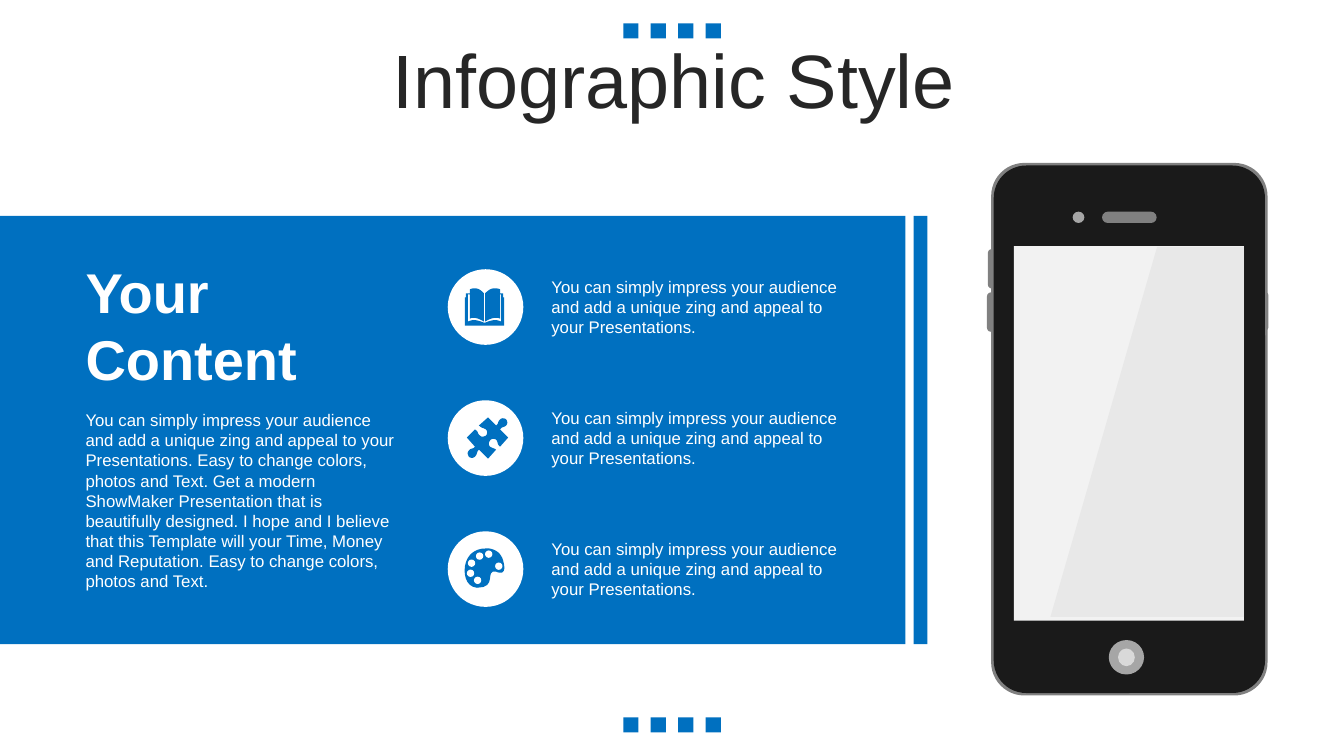
from lxml import etree
from pptx import Presentation
from pptx.dml.color import RGBColor
from pptx.enum.shapes import MSO_SHAPE as Shape
from pptx.enum.text import MSO_ANCHOR as Anchor, PP_ALIGN as Align
from pptx.oxml.ns import qn
from pptx.util import Inches, Pt

# Grid of square cells, 160 columns by 90 rows
COLS, ROWS = 160, 90
CELL = Inches(7.5) / ROWS

BLUE = RGBColor(0x00, 0x70, 0xC0)
WHITE = RGBColor(0xFF, 0xFF, 0xFF)
INK = RGBColor(0x26, 0x26, 0x26)
BLACK = RGBColor(0x1A, 0x1A, 0x1A)
RIM = RGBColor(0x80, 0x80, 0x80)
METAL = RGBColor(0xA6, 0xA6, 0xA6)
SILVER = RGBColor(0xD9, 0xD9, 0xD9)
SCREEN = RGBColor(0xF2, 0xF2, 0xF2)
GLARE = RGBColor(0x99, 0x99, 0x99)

ITEM_TEXT = ("You can simply impress your audience and add a unique zing "
             "and appeal to your Presentations.")
BODY_TEXT = (ITEM_TEXT + " Easy to change colors, photos and Text. Get a modern "
             "ShowMaker Presentation that is beautifully designed. I hope and "
             "I believe that this Template will your Time, Money and Reputation. "
             "Easy to change colors, photos and Text.")

# Icon outlines in 75ths of a badge: pairs are lines, sixes are cubic curves
BADGE_UNITS = 75
BOOK = [(36, 53), (37, 53), (43, 51, 47, 49, 53, 52), (53, 25), (52, 25), (52, 49),
        (47, 47, 42, 49, 37, 52), (37, 24), (40, 21, 43, 19, 46, 19),
        (48, 19, 50, 19, 52, 20), (52, 24), (55, 24), (55, 28), (56, 28), (56, 56),
        (17, 56), (17, 28), (18, 28), (18, 24), (22, 24), (22, 20),
        (24, 19, 25, 19, 27, 19), (31, 19, 33, 21, 36, 24), (36, 52),
        (31, 49, 26, 47, 22, 49), (22, 25), (20, 25), (20, 52),
        (26, 49, 30, 51, 36, 53)]
PUZZLE = [(58, 19), (59, 20, 60, 23, 58, 25), (56, 27, 54, 26, 52, 29), (60, 37),
          (52, 46), (49, 44, 50, 41, 48, 39), (46, 38, 43, 38, 42, 40),
          (41, 41, 40, 44, 42, 46), (45, 48, 45, 47, 48, 49), (40, 58), (31, 49),
          (28, 52, 30, 53, 27, 56), (25, 58, 22, 57, 21, 56),
          (20, 54, 19, 52, 21, 50), (23, 47, 25, 49, 27, 46), (19, 37), (27, 29),
          (31, 31, 29, 33, 32, 35), (34, 37, 36, 36, 38, 35),
          (39, 34, 40, 31, 38, 29), (35, 27, 34, 28, 31, 25), (40, 17), (48, 25),
          (51, 23, 49, 22, 52, 19), (54, 17, 57, 18, 58, 19)]
PALETTE = [(38, 17), (41, 17), (48, 18, 53, 22, 55, 29), (59, 43, 52, 42, 48, 40),
           (36, 38, 50, 56, 29, 56), (17, 55, 15, 40, 18, 31),
           (20, 24, 26, 17, 38, 17)]
PAINT_WELLS = [(26, 45), (19, 38), (47, 31), (20, 28), (28, 21), (37, 19)]
WELL_SIZE = 7.3


def cells(*values):
    return [round(value * CELL) for value in values]


def paint(shape, color):
    shape.shadow.inherit = False
    shape.fill.solid()
    shape.fill.fore_color.rgb = color
    shape.line.fill.background()
    return shape


def add_part(page, kind, left, top, width, height, color, rounding=None):
    shape = page.shapes.add_shape(kind, *cells(left, top, width, height))
    if rounding is not None:
        shape.adjustments[0] = rounding
    return paint(shape, color)


def flatten(outline, steps=8):
    """Turn lines and cubic curves into a list of points."""
    points = [outline[0]]
    for segment in outline[1:]:
        if len(segment) == 2:
            points.append(segment)
            continue
        knots = [points[-1], segment[:2], segment[2:4], segment[4:]]
        for step in range(1, steps + 1):
            t = step / steps
            weights = ((1 - t) ** 3, 3 * t * (1 - t) ** 2, 3 * t * t * (1 - t), t ** 3)
            points.append(tuple(sum(w * knot[axis] for w, knot in zip(weights, knots))
                                for axis in (0, 1)))
    return points


def add_outline(page, left, top, outline, color, unit=1):
    points = [cells(left + x * unit, top + y * unit) for x, y in flatten(outline)]
    builder = page.shapes.build_freeform(*points[0])
    builder.add_line_segments(points[1:], close=True)
    return paint(builder.convert_to_shape(), color)


def add_text(page, left, top, width, height, lines, size=12, color=WHITE, bold=False,
             align=Align.LEFT, anchor=Anchor.TOP, spacing=None, indent=0.1):
    box = page.shapes.add_textbox(*cells(left, top, width, height))
    frame = box.text_frame
    frame.word_wrap = True
    frame.vertical_anchor = anchor
    frame.margin_left = Inches(indent)
    for index, line in enumerate(lines):
        para = frame.add_paragraph() if index else frame.paragraphs[0]
        para.alignment = align
        para.line_spacing = spacing
        span = para.add_run()
        span.text = line
        span.font.name = "Arial"
        span.font.size = Pt(size)
        span.font.bold = bold
        span.font.color.rgb = color


def draw_squares(page, left, top, count=4, size=1.8, pitch=3.27):
    for index in range(count):
        add_part(page, Shape.RECTANGLE, left + index * pitch, top, size, size, BLUE)


def draw_phone(page, left, top, width, height):
    # Side buttons, then the case over them
    for x, y in ((-0.4, 10.25), (-0.5, 15.4), (width - 0.85, 15.3)):
        add_part(page, Shape.ROUNDED_RECTANGLE, left + x, top + y, 0.96, 4.7, RIM, 0.5)
    for inset, color in ((0, RIM), (0.3, BLACK)):
        add_part(page, Shape.ROUNDED_RECTANGLE, left + inset, top + inset,
                 width - 2 * inset, height - 2 * inset, color, 0.12)
    # Screen with glare
    add_part(page, Shape.RECTANGLE, left + 2.7, top + 9.9, 27.4, 44.6, SCREEN)
    glare = add_outline(page, left, top,
                        [(19.75, 10), (30.15, 10), (30.15, 54.05), (7.05, 54.05)], GLARE)
    tint = glare.fill._xPr.find(qn("a:solidFill"))[0]
    etree.SubElement(tint, qn("a:alpha")).set("val", "10000")
    # Home button, camera and speaker
    add_part(page, Shape.OVAL, left + 14, top + 56.8, 4.2, 4.1, METAL)
    add_part(page, Shape.OVAL, left + 15.1, top + 57.8, 2, 2.1, SILVER)
    add_part(page, Shape.OVAL, left + 9.7, top + 5.8, 1.4, 1.35, METAL)
    add_part(page, Shape.ROUNDED_RECTANGLE, left + 13.2, top + 5.8, 6.5, 1.35, RIM, 0.5)


def draw_item(page, left, top, outline, badge=9):
    unit = badge / BADGE_UNITS
    add_part(page, Shape.OVAL, left, top, badge, badge, WHITE)
    add_outline(page, left, top, outline, BLUE, unit)
    if outline is PALETTE:
        for x, y in PAINT_WELLS:
            add_part(page, Shape.OVAL, left + x * unit, top + y * unit,
                     WELL_SIZE * unit, WELL_SIZE * unit, WHITE)
    add_text(page, left + 10.9, top + 0.25, 38, 8.5, [ITEM_TEXT], indent=0.12)


def draw_panel(page, left, top, width, height):
    add_part(page, Shape.RECTANGLE, left, top, width - 2.6, height, BLUE)
    add_part(page, Shape.RECTANGLE, left + width - 1.65, top, 1.65, height, BLUE)
    add_text(page, left + 9, top + 4.4, 41.2, 17.4, ["Your", "Content"],
             size=40, bold=True)
    add_text(page, left + 9, top + 22.5, 39.2, 23, [BODY_TEXT])
    for row, outline in enumerate((BOOK, PUZZLE, PALETTE)):
        draw_item(page, left + 53.3, top + 6.35 + row * 15.6, outline)


def main():
    deck = Presentation()
    deck.slide_width, deck.slide_height = cells(COLS, ROWS)
    page = deck.slides.add_slide(deck.slide_layouts[6])
    draw_phone(page, 118, 19.4, 32.9, 63.4)
    for top in (2.78, 85.4):
        draw_squares(page, 74.2, top)
    add_text(page, 4.2, 5.3, 152, 9.5, ["Infographic Style"], size=54, color=INK,
             align=Align.CENTER, anchor=Anchor.MIDDLE, spacing=0.9)
    draw_panel(page, 0, 25.7, 110.4, 51)
    deck.save("out.pptx")


if __name__ == "__main__":
    main()
